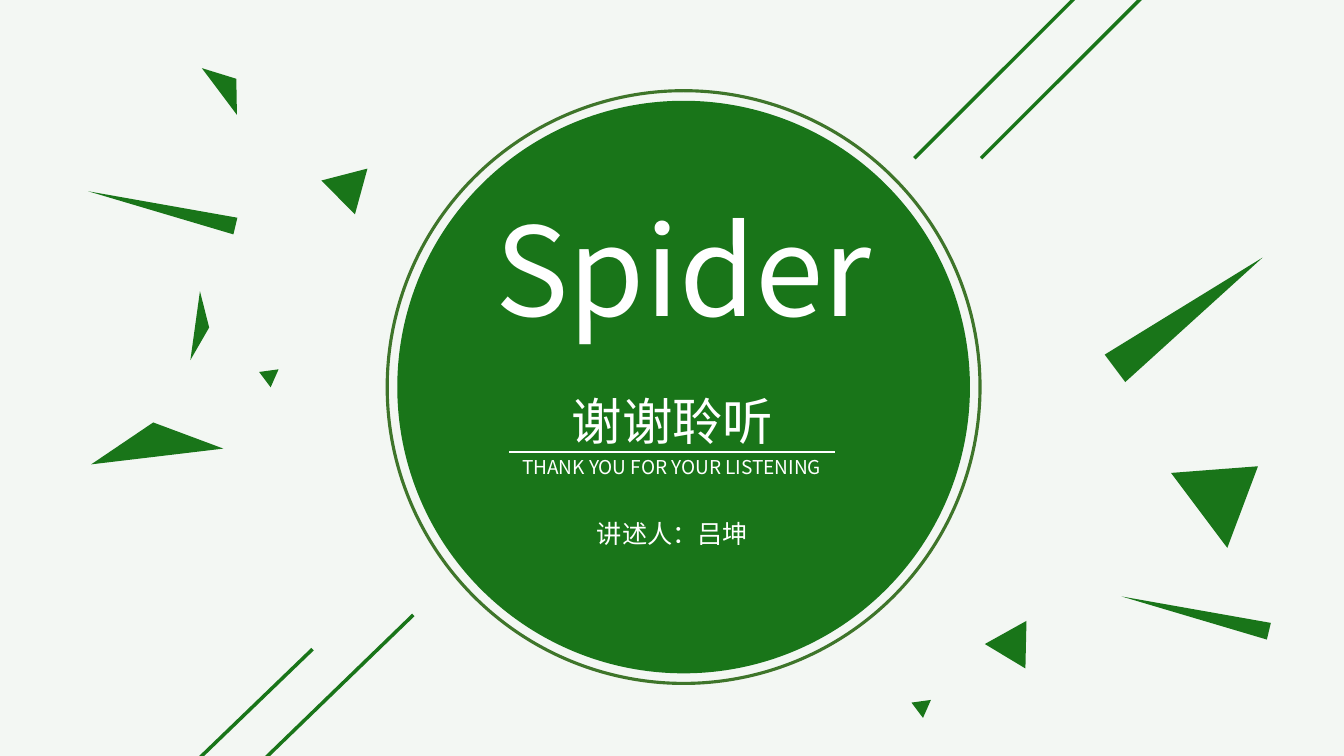
from lxml import etree
from pptx import Presentation
from pptx.dml.color import RGBColor
from pptx.enum.shapes import MSO_CONNECTOR, MSO_SHAPE
from pptx.enum.text import MSO_ANCHOR, MSO_AUTO_SIZE, PP_ALIGN
from pptx.oxml.ns import qn
from pptx.util import Inches, Pt

STRAIGHT = MSO_CONNECTOR.STRAIGHT
OVAL = MSO_SHAPE.OVAL
TRIANGLE = MSO_SHAPE.ISOSCELES_TRIANGLE
CENTER = PP_ALIGN.CENTER
TOP = MSO_ANCHOR.TOP
GROW = MSO_AUTO_SIZE.SHAPE_TO_FIT_TEXT

GREEN, RIM, WHITE, PALE = "197519", "3E752A", "FFFFFF", "F3F7F3"
FONT = "Noto Sans CJK SC"


def color(value):
    return RGBColor.from_string(value)


class Page:
    def __init__(self, slide):
        self.slide = slide
        self.shapes = slide.shapes
        fill = slide.background.fill
        fill.solid()
        fill.fore_color.rgb = color(PALE)

    def shard(self, x, y, w, h, turn):
        shape = self.shapes.add_shape(
            TRIANGLE, Inches(x), Inches(y), Inches(w), Inches(h))
        shape.rotation = turn
        self.paint(shape)

    def paint(self, shape):
        shape.shadow.inherit = False
        shape.fill.solid()
        shape.fill.fore_color.rgb = color(GREEN)
        shape.line.fill.background()

    def badge(self, x, y, size, gap):
        """A filled disc with a thin ring around it."""
        group = self.shapes.add_group_shape()
        disc = group.shapes.add_shape(
            OVAL, Inches(x), Inches(y), Inches(size), Inches(size))
        self.paint(disc)
        outer = Inches(size + 2 * gap)
        ring = group.shapes.add_shape(
            OVAL, Inches(x - gap), Inches(y - gap), outer, outer)
        ring.shadow.inherit = False
        ring.fill.background()
        ring.line.color.rgb = color(RIM)
        ring.line.width = Pt(2.25)

    def line(self, x1, y1, x2, y2, tint=GREEN, width=2.5):
        line = self.shapes.add_connector(
            STRAIGHT, Inches(x1), Inches(y1), Inches(x2), Inches(y2))
        line.line.color.rgb = color(tint)
        line.line.width = Pt(width)
        props = line.element.find(qn("p:spPr"))
        etree.SubElement(props, qn("a:effectLst"))

    def text(self, words, x, y, w, h, size, holder=None):
        box = holder or self.shapes.add_textbox(0, 0, 0, 0)
        # Bring the text in front of the badge
        box.element.getparent().append(box.element)
        box.left, box.top = Inches(x), Inches(y)
        box.width, box.height = Inches(w), Inches(h)
        frame = box.text_frame
        frame.text = words
        frame.word_wrap = True
        frame.auto_size = GROW
        frame.vertical_anchor = TOP
        para = frame.paragraphs[0]
        para.alignment = CENTER
        para.space_before = Pt(0)
        font = para.runs[0].font
        font.size = Pt(size)
        font.name = FONT
        font.color.rgb = color(WHITE)
        east = etree.SubElement(para.runs[0].font._element, qn("a:ea"))
        east.set("typeface", FONT)


def main():
    deck = Presentation()
    deck.slide_width, deck.slide_height = Inches(13.33), Inches(7.5)
    page = Page(deck.slides.add_slide(deck.slide_layouts[0]))
    title, body = page.slide.placeholders

    # Central badge
    page.badge(3.94, 1, 5.68, 0.1)

    # Scattered shards: left, top, width, height, rotation
    for shard in [
        (0.88, 4.19, 1.32, 0.34, 353.2),
        (11.72, 4.48, 0.93, 0.73, 53.1),
        (2.6, 3.63, 0.19, 0.17, 53.1),
        (1.52, 1.32, 0.17, 1.5, 283.3),
        (3.15, 1.64, 0.47, 0.41, 285.3),
        (1.66, 3.17, 0.69, 0.14, 97.9),
        (9.84, 6.13, 0.47, 0.41, 31.1),
        (1.97, 0.74, 0.58, 0.21, 53.1),
        (11.62, 2.19, 0.34, 1.83, 53.1),
        (9.07, 6.91, 0.19, 0.17, 53.1),
        (11.77, 5.34, 0.17, 1.5, 283.3),
    ]:
        page.shard(*shard)

    # Slanted corner lines
    for ends in [
        (12.62, -1.32, 9.73, 1.57),
        (11.49, -0.85, 9.07, 1.57),
        (4.1, 6.1, 1.29, 8.82),
        (3.1, 6.44, 0.63, 8.82),
    ]:
        page.line(*ends)

    # Closing words
    page.text("Spider", 4.72, 1.87, 4.12, 1.58, 88, title)
    page.text("谢谢聆听", 4.57, 3.82, 4.2, 0.71, 36, body)
    page.text("THANK YOU FOR YOUR LISTENING", 4.41, 4.47, 4.5, 0.34, 13.6)
    page.line(5.05, 4.48, 8.28, 4.48, WHITE, 1.5)
    page.text("讲述人：吕坤", 5.61, 5.09, 2.12, 0.4, 18)

    deck.save("out.pptx")


if __name__ == "__main__":
    main()
